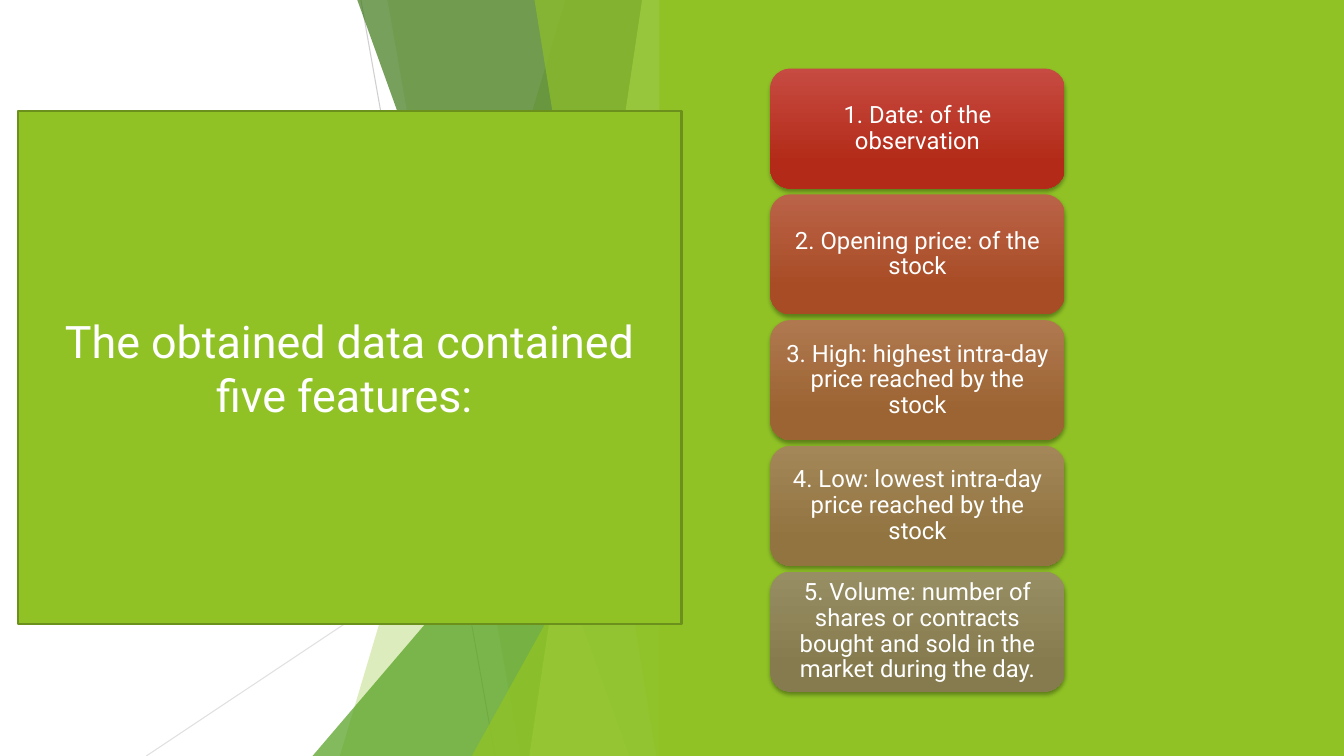
from lxml import etree
from pptx import Presentation
from pptx.dml.color import RGBColor
from pptx.enum import shapes, text
from pptx.oxml import ns
from pptx.util import Inches, Pt

COLORS = {
    "white": "FFFFFF", "lime": "90C226", "green": "54A021", "forest": "3F7819",
    "pale": "C0E474", "olive": "6B901C", "grey": "BFBFBF", "silver": "D9D9D9",
}


def style(shape, color=None, alpha=100):
    """Give a shape or connector one colour, with no shadow and no outline."""
    if color and shape.shape_type == shapes.MSO_SHAPE_TYPE.LINE:
        paint = shape.line.fill
        etree.SubElement(shape._element.spPr, ns.qn("a:effectLst"))
    else:
        paint = shape.fill
        shape.line.fill.background()
        shape.shadow.inherit = False
    if color:
        paint.solid()
        paint.fore_color.rgb = RGBColor.from_string(COLORS[color])
        if alpha < 100:
            hue = shape._element.spPr.find(".//" + ns.qn("a:srgbClr"))
            etree.SubElement(hue, ns.qn("a:alpha"), val=str(alpha * 1000))


def write(shape, wording, size, spacing=1.0, inset_x=0.1, inset_y=0.05):
    frame = shape.text_frame
    frame.text = wording
    frame.word_wrap = True
    frame.auto_size = text.MSO_AUTO_SIZE.NONE
    frame.vertical_anchor = text.MSO_ANCHOR.MIDDLE
    frame.margin_left = frame.margin_right = Inches(inset_x)
    frame.margin_top = frame.margin_bottom = Inches(inset_y)
    para = frame.paragraphs[0]
    para.alignment = text.PP_ALIGN.CENTER
    para.line_spacing = spacing
    para.space_before = Pt(0)
    span = para.runs[0]
    span.font.name = "Roboto"
    span.font.size = Pt(size)
    span.font.color.rgb = RGBColor.from_string(COLORS["white"])


deck = Presentation()
deck.slide_width, deck.slide_height = Inches(13.33), Inches(7.5)
page = deck.slides.add_slide(deck.slide_layouts[5])
canvas = page.shapes

# Thin lines behind the facets
for x1, y1, x2, color, alpha in [(3.58, 0, 4.91, "grey", 75), (6.66, 4.03, 1.45, "silver", 80)]:
    line = canvas.add_connector(shapes.MSO_CONNECTOR.STRAIGHT,
                                Inches(x1), Inches(y1), Inches(x2), Inches(7.5))
    line.line.width = Pt(0.75)
    style(line, color, alpha)

# Facets share their right edge and the slide bottom
EDGE, BOTTOM = 6.66, 7.5
facets = [  # top x, top y, bottom x, colour, opacity
    (5.61, -0.01, 3.37, "lime", 30),
    (3.84, -0.01, 5.16, "lime", 20),
    (EDGE, 3.33, 3.1, "green", 72),
    (3.54, -0.01, 6.24, "forest", 70),
    (6.37, -0.01, 5.25, "pale", 70),
    (5.3, -0.01, 6.51, "lime", 65),
    (EDGE, 3.93, 4.68, "lime", 80),
]
for top_x, top_y, bottom_x, color, alpha in facets:
    if top_x == EDGE:
        facet = canvas.add_shape(shapes.MSO_SHAPE.ISOSCELES_TRIANGLE, Inches(bottom_x), Inches(top_y),
                                 Inches(EDGE - bottom_x), Inches(BOTTOM - top_y))
        facet.adjustments[0] = 1
    else:
        outline = canvas.build_freeform(Inches(top_x), Inches(top_y))
        corners = [(EDGE, top_y), (EDGE, BOTTOM), (bottom_x, BOTTOM)]
        outline.add_line_segments([(Inches(x), Inches(y)) for x, y in corners])
        facet = outline.convert_to_shape()
    style(facet, color, alpha)

panel = canvas.add_shape(shapes.MSO_SHAPE.RECTANGLE, Inches(6.54), 0, Inches(6.79), Inches(7.5))
style(panel, "lime")

# Feature cards
features = [
    ("1. Date: of the observation", "C74B42", "B32B18"),
    ("2. Opening price: of the stock", "BB6348", "A84C25"),
    ("3. High: highest intra-day price reached by the stock", "AF784F", "9C6432"),
    ("4. Low: lowest intra-day price reached by the stock", "A48759", "917440"),
    ("5. Volume: number of shares or contracts bought and sold in the market during the day.",
     "988E64", "857B4E"),
]
for row, (wording, light, dark) in enumerate(features):
    card = canvas.add_shape(shapes.MSO_SHAPE.ROUNDED_RECTANGLE, Inches(7.64),
                            Inches(0.68 + 1.2475 * row), Inches(2.92), Inches(1.19))
    style(card)
    card.fill.gradient()
    card.fill.gradient_angle = 270
    for stop, position, color in zip(card.fill.gradient_stops, (0, 0.78), (light, dark)):
        stop.position = position
        stop.color.rgb = RGBColor.from_string(color)
    effects = card._element.spPr.find(ns.qn("a:effectLst"))
    shadow = etree.SubElement(effects, ns.qn("a:outerShdw"), blurRad=str(Pt(3)), dist=str(Pt(2)),
                              dir="5400000", rotWithShape="0")
    black = etree.SubElement(shadow, ns.qn("a:srgbClr"), val="000000")
    etree.SubElement(black, ns.qn("a:alpha"), val="35000")
    write(card, wording, 17, spacing=0.9, inset_x=0.07, inset_y=0.04)

# Title in an ellipse, in front of everything
title = canvas.title
title.left, title.top, title.width, title.height = map(Inches, (0.18, 1.1, 6.58, 5.09))
geometry = etree.SubElement(title._element.spPr, ns.qn("a:prstGeom"), prst="ellipse")
etree.SubElement(geometry, ns.qn("a:avLst"))
style(title, "lime")
title.line.color.rgb = RGBColor.from_string(COLORS["olive"])
title.line.width = Pt(1.5)
write(title, "The obtained data contained five features: ", 32)
canvas._spTree.append(title._element)

deck.save("out.pptx")
